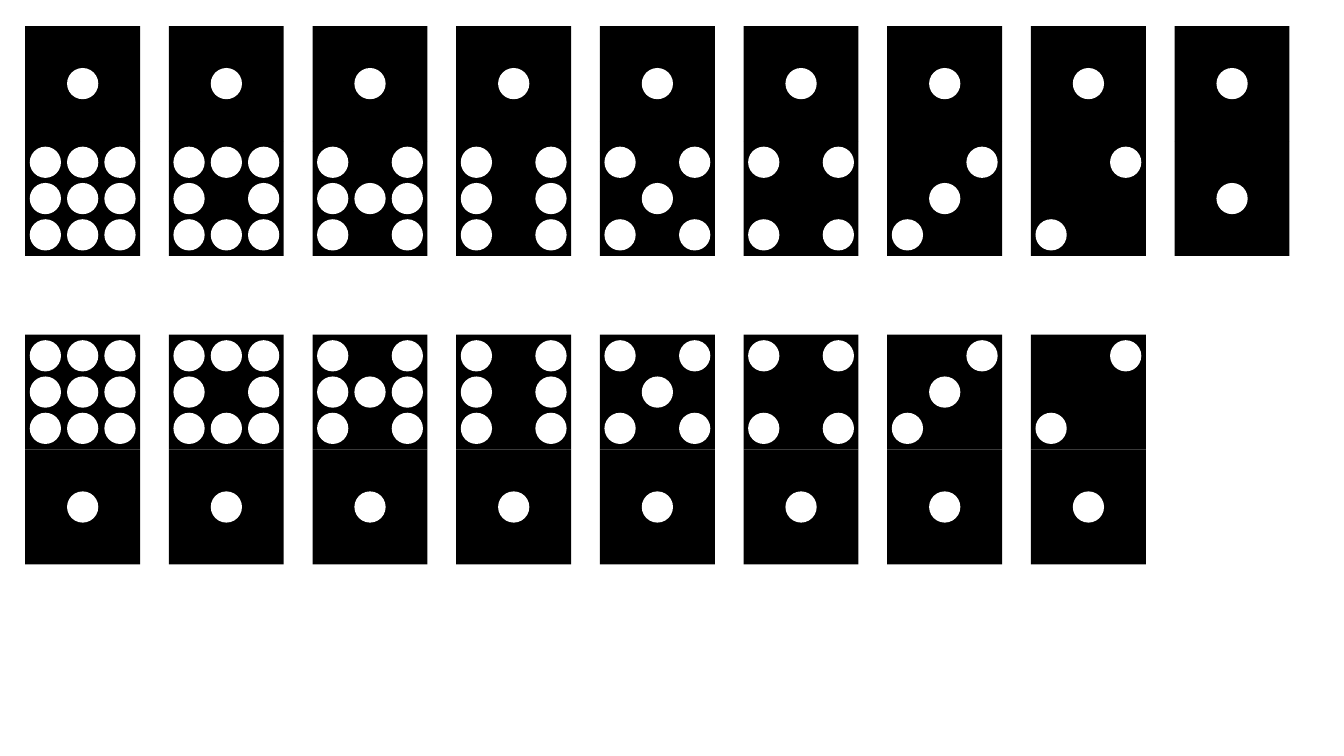
import pptx
import pptx.dml.color
import pptx.enum.shapes
import pptx.util

THEME = {
    "tile": pptx.dml.color.RGBColor(0x00, 0x00, 0x00),
    "pip": pptx.dml.color.RGBColor(0xFF, 0xFF, 0xFF),
}
KIND = pptx.enum.shapes.MSO_SHAPE

# Grid in inches: each domino is two square halves, one above the other
HALF = 1.14
PITCH = HALF * 1.25
LEFT = 0.25
PIP = 0.31
PIP_STEP_X = 0.37
PIP_STEP_Y = 0.36

# Pips of each half as three rows of three places
PATTERNS = {
    9: ("ooo", "ooo", "ooo"),
    8: ("ooo", "o.o", "ooo"),
    7: ("o.o", "ooo", "o.o"),
    6: ("o.o", "o.o", "o.o"),
    5: ("o.o", ".o.", "o.o"),
    4: ("o.o", "...", "o.o"),
    3: ("..o", ".o.", "o.."),
    2: ("..o", "...", "o.."),
    1: ("...", ".o.", "..."),
}


def add_solid(group, kind, center_x, center_y, size, color):
    """Add a borderless square or circle around a center point."""
    shape = group.shapes.add_shape(
        kind,
        pptx.util.Inches(center_x - size / 2),
        pptx.util.Inches(center_y - size / 2),
        pptx.util.Inches(size),
        pptx.util.Inches(size),
    )
    shape.shadow.inherit = False
    shape.fill.solid()
    shape.fill.fore_color.rgb = color
    shape.line.fill.background()


def add_half(group, center_x, center_y, value):
    """Add one half of a domino with its pips."""
    add_solid(group, KIND.RECTANGLE, center_x, center_y, HALF, THEME["tile"])
    for row, places in enumerate(PATTERNS[value], start=-1):
        for column, place in enumerate(places, start=-1):
            if place == "o":
                add_solid(group, KIND.OVAL, center_x + column * PIP_STEP_X,
                          center_y + row * PIP_STEP_Y, PIP, THEME["pip"])


deck = pptx.Presentation()
deck.slide_width = pptx.util.Inches(13.33)
deck.slide_height = pptx.util.Inches(7.5)
page = deck.slides.add_slide(deck.slide_layouts[6])

# Upper row: one over 9 to 1; lower row: 9 to 2 over one
upper_row = [(1, value) for value in range(9, 0, -1)]
lower_row = [(value, 1) for value in range(9, 1, -1)]

for top, dominoes in ((0.26, upper_row), (3.32, lower_row)):
    for column, halves in enumerate(dominoes):
        domino = page.shapes.add_group_shape()
        center_x = LEFT + column * PITCH + HALF / 2
        for position, value in enumerate(halves):
            add_half(domino, center_x, top + (position + 0.5) * HALF, value)

deck.save("out.pptx")
